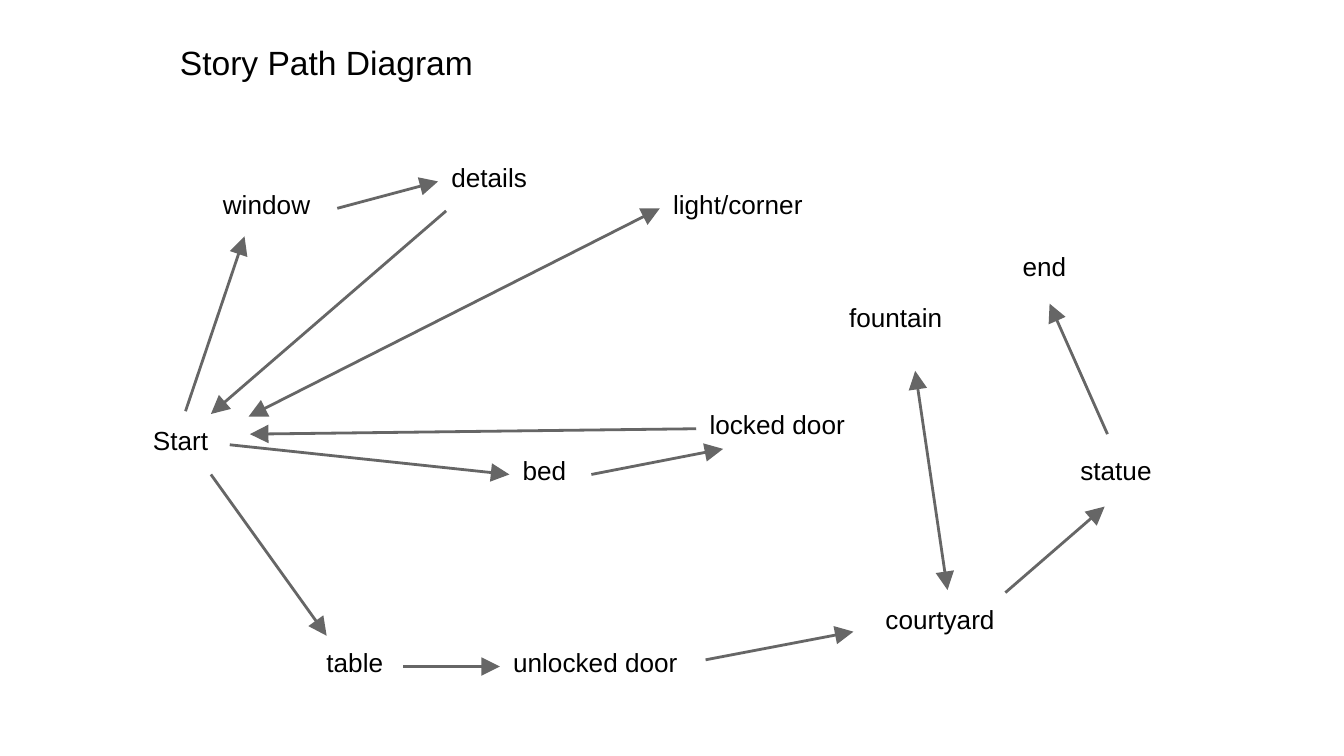
from typing import NamedTuple

from lxml import etree
from pptx import Presentation
from pptx.dml.color import RGBColor
from pptx.enum.shapes import MSO_CONNECTOR
from pptx.enum.text import MSO_ANCHOR
from pptx.oxml.ns import qn
from pptx.util import Pt

LINE = MSO_CONNECTOR.STRAIGHT
TOP = MSO_ANCHOR.TOP
FONT = "Arial"
INK = "000000"
GREY = "666666"
PAD = 7.2


class Label(NamedTuple):
    text: str
    left: float
    top: float
    width: float
    height: float = 36
    size: float = 14


class Arrow(NamedTuple):
    x1: float
    y1: float
    x2: float
    y2: float
    both: bool = False


LABELS = [
    Label("Story Path Diagram", 89.3, 15.1, 205.2, 57.6, 18),
    Label("Start", 74.9, 220.3, 48.2),
    Label("window", 112.3, 93.6, 68.4),
    Label("details", 234.7, 79.2, 68.4),
    Label("light/corner", 353.5, 93.6, 92.2),
    Label("bed", 272.9, 236.2, 48.2),
    Label("locked door", 373, 211.7, 92.2),
    Label("table", 167.8, 339.1, 48.2),
    Label("unlocked door", 267.8, 339.1, 110.2),
    Label("courtyard", 467.3, 316.1, 81.4),
    Label("fountain", 447.8, 154.1, 81.4),
    Label("statue", 571.7, 236.2, 57.6),
    Label("end", 540.7, 126.7, 43.9),
]

ARROWS = [
    # Paths around the start
    Arrow(99.4, 220.3, 131, 126.7),
    Arrow(180.7, 111.6, 234.7, 97.2),
    Arrow(239, 113, 113, 221.8),
    Arrow(133.2, 223.2, 353.5, 111.6, both=True),
    Arrow(123.1, 238.3, 272.9, 254.2),
    Arrow(316.8, 254.2, 387.4, 240.5),
    Arrow(373, 229.7, 133.9, 232.6),
    # Path to the end
    Arrow(113, 254.2, 175, 340.6),
    Arrow(216, 357.1, 267.8, 357.1),
    Arrow(378, 353.5, 457.2, 338.4),
    Arrow(507.6, 316.1, 490.3, 198.7, both=True),
    Arrow(538.6, 317.5, 591.8, 271.4),
    Arrow(593.3, 232.6, 562.3, 162.7),
]


def color(code: str) -> RGBColor:
    return RGBColor.from_string(code)


def draw_label(shapes, label: Label) -> None:
    box = shapes.add_textbox(Pt(label.left), Pt(label.top),
                             Pt(label.width), Pt(label.height))
    frame = box.text_frame
    frame.word_wrap = True
    frame.vertical_anchor = TOP
    frame.margin_left = frame.margin_right = Pt(PAD)
    frame.margin_top = frame.margin_bottom = Pt(PAD)
    frame.text = label.text
    font = frame.paragraphs[0].runs[0].font
    font.name = FONT
    font.size = Pt(label.size)
    font.color.rgb = color(INK)


def draw_arrow(shapes, arrow: Arrow) -> None:
    link = shapes.add_connector(LINE, Pt(arrow.x1), Pt(arrow.y1),
                                Pt(arrow.x2), Pt(arrow.y2))
    link.line.color.rgb = color(GREY)
    link.line.width = Pt(1.5)
    props = link._element.spPr
    stroke = props.find(qn("a:ln"))
    ends = ["a:headEnd", "a:tailEnd"] if arrow.both else ["a:tailEnd"]
    for end in ends:
        etree.SubElement(stroke, qn(end), type="triangle", w="lg", len="lg")
    etree.SubElement(props, qn("a:effectLst"))


# Slide
deck = Presentation()
deck.slide_width, deck.slide_height = Pt(720), Pt(405)
slide = deck.slides.add_slide(deck.slide_layouts[6])

# Places and paths
for label in LABELS:
    draw_label(slide.shapes, label)
for arrow in ARROWS:
    draw_arrow(slide.shapes, arrow)

deck.save("out.pptx")
